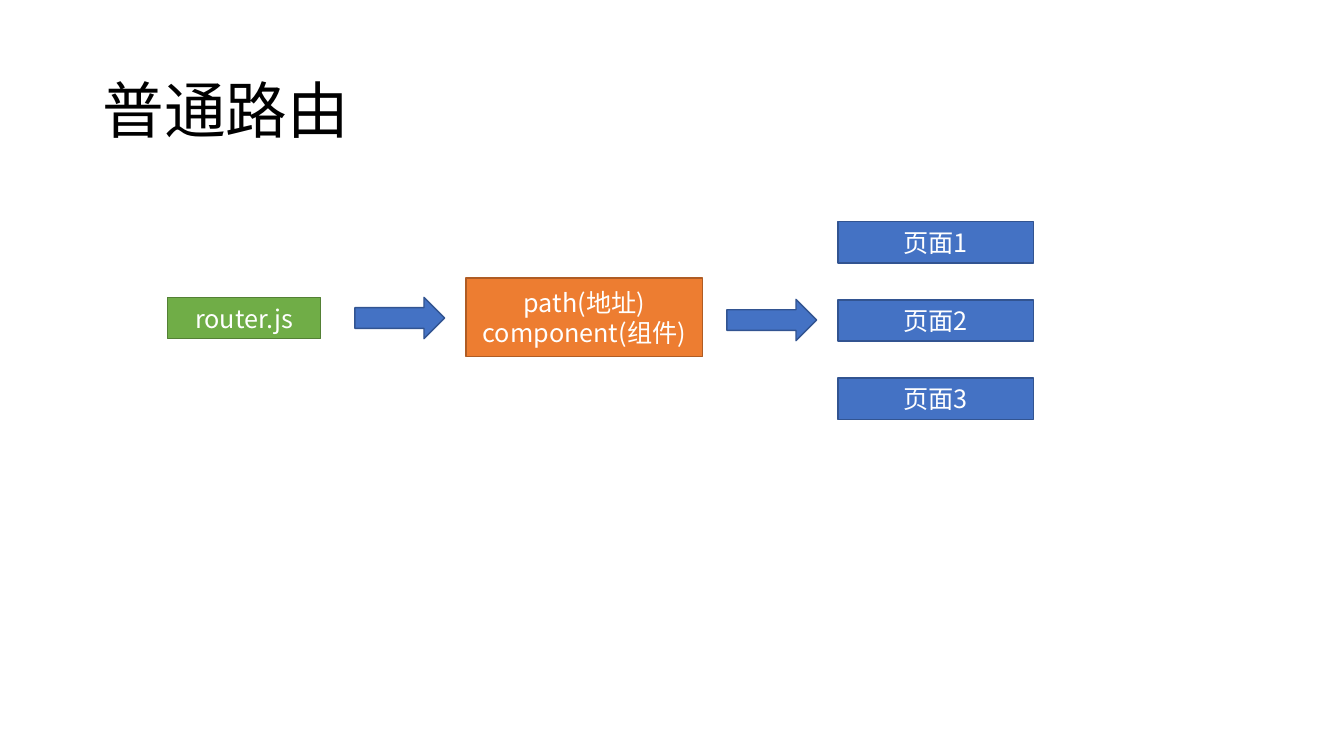
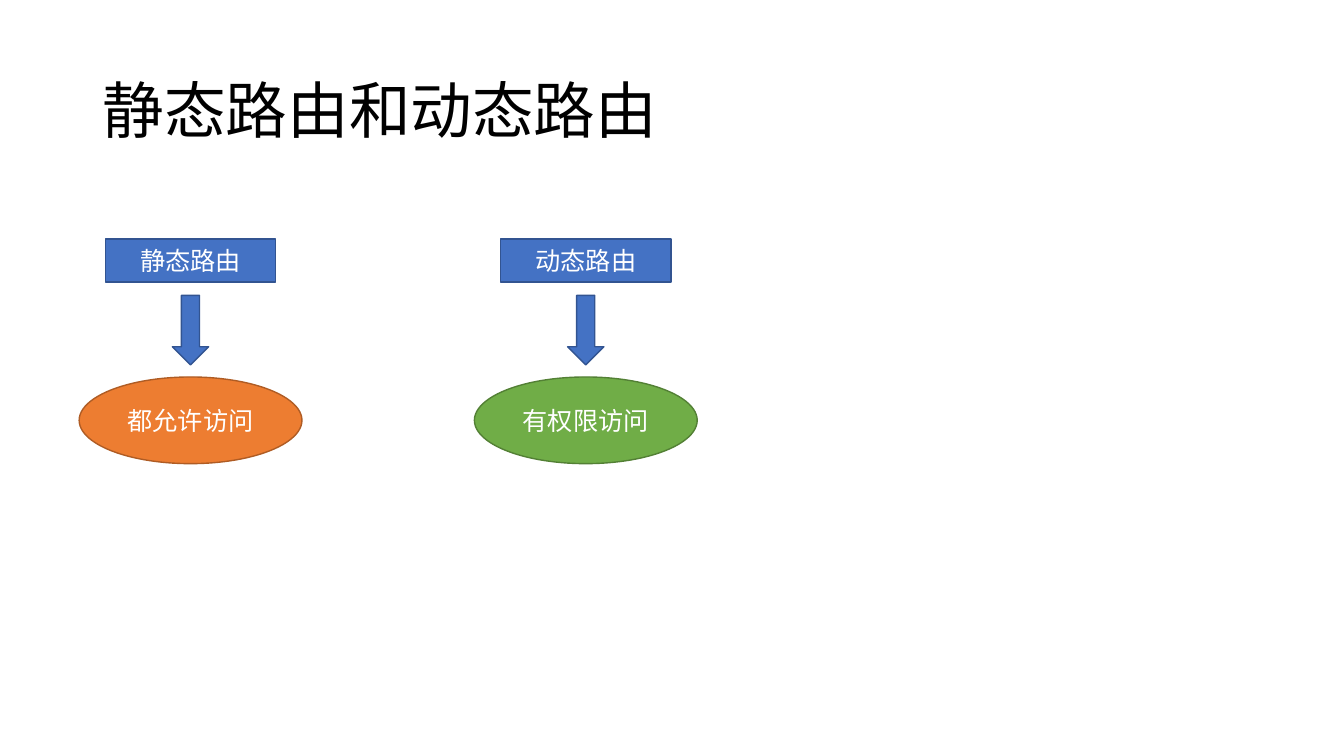
"""Build two slides on plain, static and dynamic routes."""
from lxml.etree import SubElement
from pptx import Presentation
from pptx.dml.color import RGBColor
from pptx.enum.shapes import MSO_SHAPE
from pptx.enum.text import MSO_ANCHOR, PP_ALIGN
from pptx.oxml.ns import qn
from pptx.util import Inches, Pt

FONT = "Noto Sans CJK SC"
HUES = {
    "blue": "4472C4", "blue edge": "325491",
    "green": "70AD47", "green edge": "538035",
    "orange": "ED7D31", "orange edge": "AF5C24",
    "white": "FFFFFF", "black": "000000",
}
PLAIN = "普通路由"
MIXED = "静态路由和动态路由"
PAGES = ["页面1", "页面2", "页面3"]
FLOW = [
    (MSO_SHAPE.RECTANGLE, (1.66, 2.95, 1.52, 0.41), "green", "router.js"),
    (MSO_SHAPE.RIGHT_ARROW, (3.52, 2.95, 0.89, 0.41), "blue", ""),
    (MSO_SHAPE.RECTANGLE, (4.62, 2.76, 2.35, 0.78), "orange",
     "path(地址)\ncomponent(组件)"),
    (MSO_SHAPE.RIGHT_ARROW, (7.21, 2.97, 0.89, 0.41), "blue", ""),
]
ROUTES = [("静态路由", "都允许访问", "orange"), ("动态路由", "有权限访问", "green")]


def color(name):
    return RGBColor.from_string(HUES[name])


def write(shape, text, size, hue, align, space=None):
    frame = shape.text_frame
    frame.text = text
    frame.word_wrap = True
    frame.vertical_anchor = MSO_ANCHOR.MIDDLE
    for para in frame.paragraphs:
        para.alignment = align
        para.line_spacing = space
        for run in para.runs:
            run.font.size = Pt(size)
            run.font.color.rgb = color(hue)
            run.font.name = FONT
            SubElement(run.font._element, qn("a:ea"), typeface=FONT)


def add_page(deck, title):
    slide = deck.slides.add_slide(deck.slide_layouts[6])
    box = slide.shapes.add_textbox(*map(Inches, (0.92, 0.4, 11.5, 1.45)))
    write(box, title, 44, "black", PP_ALIGN.LEFT, 0.9)
    return slide


def add_part(slide, kind, place, hue, text=""):
    part = slide.shapes.add_shape(kind, *map(Inches, place))
    part.shadow.inherit = False
    part.fill.solid()
    part.fill.fore_color.rgb = color(hue)
    part.line.color.rgb = color(hue + " edge")
    part.line.width = Pt(1)
    if text:
        write(part, text, 18, "white", PP_ALIGN.CENTER)


def main():
    deck = Presentation()
    deck.slide_width, deck.slide_height = Inches(13.33), Inches(7.5)

    slide = add_page(deck, PLAIN)
    for part in FLOW:
        add_part(slide, *part)
    for row, text in enumerate(PAGES):
        place = (8.31, 2.2 + 0.775 * row, 1.94, 0.41)
        add_part(slide, MSO_SHAPE.RECTANGLE, place, "blue", text)

    slide = add_page(deck, MIXED)
    for col, (route, access, hue) in enumerate(ROUTES):
        mid = 1.89 + 3.92 * col
        for kind, top, width, height, fill, text in [
            (MSO_SHAPE.RECTANGLE, 2.37, 1.69, 0.43, "blue", route),
            (MSO_SHAPE.DOWN_ARROW, 2.93, 0.36, 0.69, "blue", ""),
            (MSO_SHAPE.OVAL, 3.74, 2.21, 0.86, hue, access),
        ]:
            place = (mid - width / 2, top, width, height)
            add_part(slide, kind, place, fill, text)

    deck.save("out.pptx")


if __name__ == "__main__":
    main()
